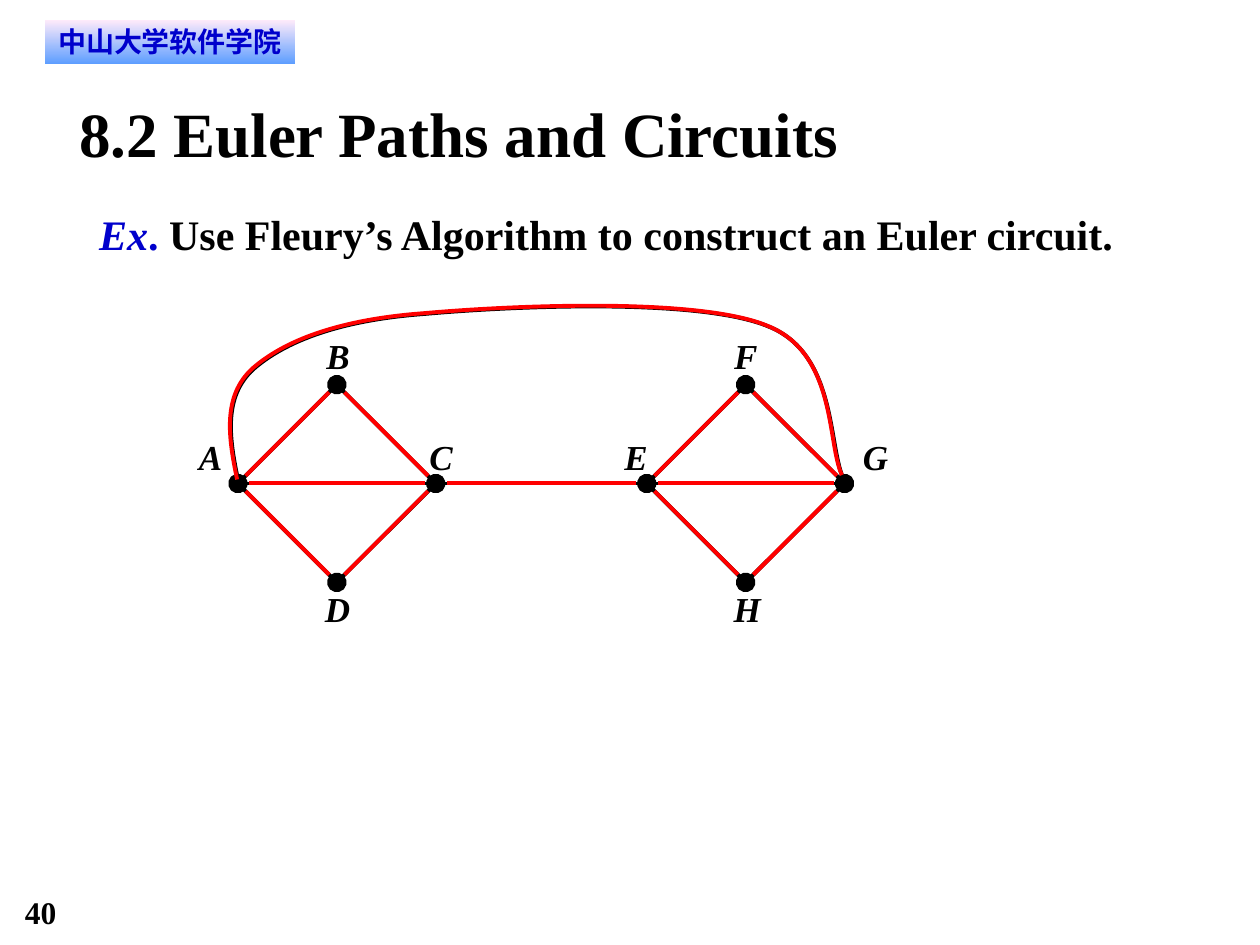
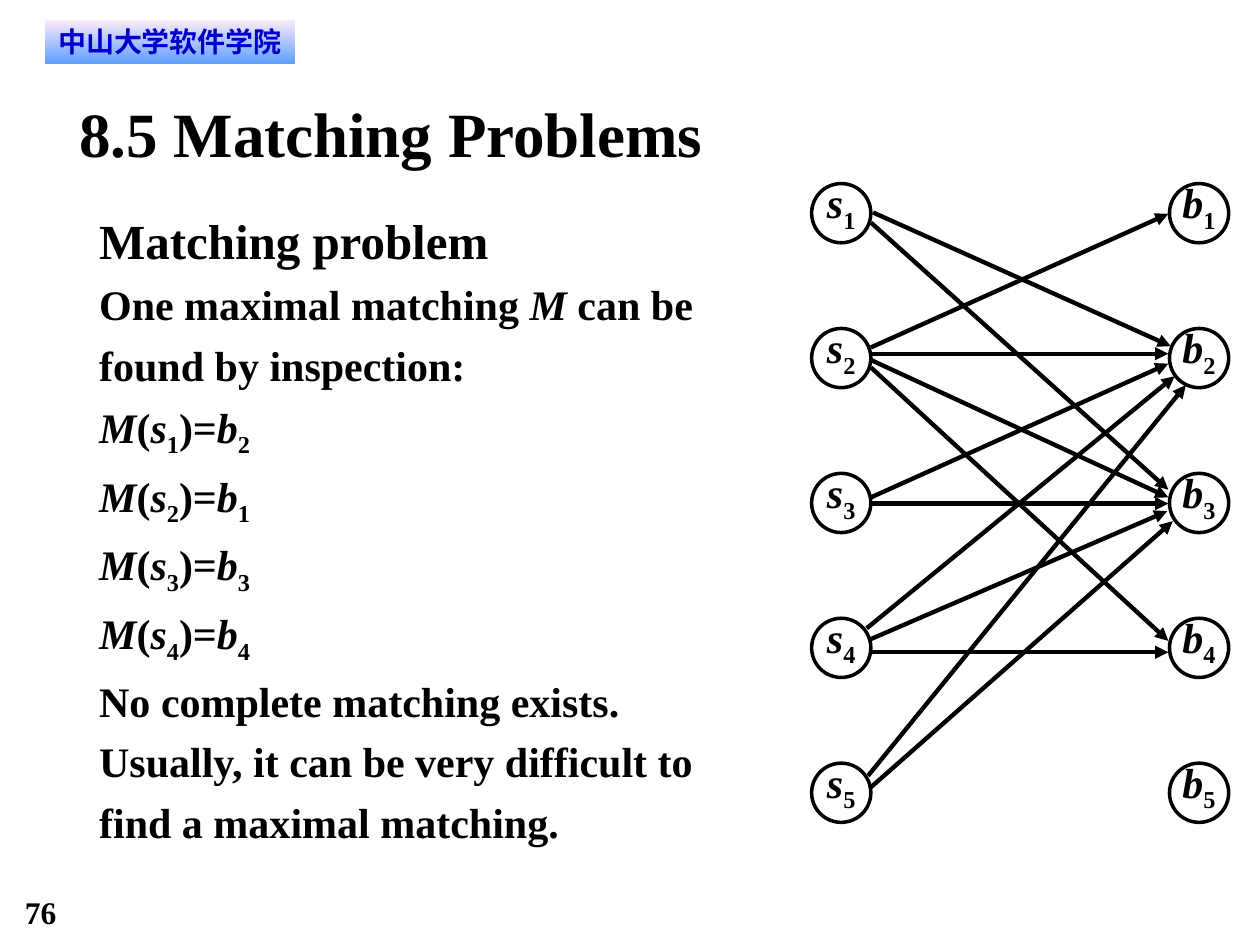
import math
import pptx
import pptx.dml.color
import pptx.enum.dml
import pptx.enum.shapes
import pptx.enum.text
import pptx.oxml.ns
import pptx.util
from lxml import etree

Pt = pptx.util.Pt
RGBColor = pptx.dml.color.RGBColor
ALIGN = pptx.enum.text.PP_ALIGN
ANCHOR = pptx.enum.text.MSO_ANCHOR
SHAPE = pptx.enum.shapes.MSO_SHAPE
qualified = pptx.oxml.ns.qn

BLACK = RGBColor(0x00, 0x00, 0x00)
RED = RGBColor(0xFF, 0x00, 0x00)
BLUE = RGBColor(0x00, 0x00, 0xCC)
BAND_TOP = RGBColor(0xFF, 0xEB, 0xFA)
BAND_BOTTOM = RGBColor(0x5E, 0x9E, 0xFF)
SERIF = "Times New Roman"
SANS = "DejaVu Sans"

TITLE_BOX = (45.2, 54, 630, 43.2)
BAND_BOX = (25.6, 11.3, 143, 25.2)
NUMBER_BOX = (14.2, 510.2, 54, 21.6)
EXERCISE_BOX = (56.7, 113.4, 619.2, 34.6)
MATCHING_TEXT_BOX = (56.7, 113.3, 383.8, 370)
EULER_BOX = (135.4, 170, 347, 163.2)
MATCHING_BOX = (463.8, 104.9, 238.3, 365)

EDGE_WIDTH = 2.25
RADIUS = 56.5
DIAMOND_INSET = 0.6
DIAMOND_STEP = 233.6
DIAMOND_MIDDLE = 106.3
TRIM = 6.2
LEVEL_RISE = 0.5
LABEL_SIZE = (14, 23.8)
DIAMONDS = [
    {"west": ("A", -22.4, -27.4), "north": ("B", -6, -28.8),
     "east": ("C", -3.6, -27.4), "south": ("D", -6.8, 3)},
    {"west": ("E", -12.8, -27.4), "north": ("F", -6.6, -28.8),
     "east": ("G", 10.5, -27.4), "south": ("H", -6.8, 3)},
]
DIAMOND_EDGES = [
    ("north", "east", "oval"), ("west", "south", "oval"),
    ("east", "south", None), ("north", "west", None), ("west", "east", None),
]
LOOP = [
    (0.7, 104.4),
    (-4.3, 80.6), (-7.9, 56.9), (9.4, 41),
    (27.4, 25.2), (58.3, 13), (107.3, 9.4),
    (156.2, 5), (264.2, 0), (303.8, 16.6),
    (343.4, 32.4), (337.7, 86.4), (347, 104.4),
]
RED_LOOP = LOOP[:-2] + [(337.7, 83.9), (346.3, 101.9)]

CIRCLE = 33.84
ROW_STEP = 82.8
COLUMN_STEP = 204.5
ROWS = 5
ARROWS = [
    (2, (17, -6.1), 1, (-17.6, 0.4)),
    (1, (18.2, -0.4), 2, (-16.2, -6.8)),
    (1, (17, 5.4), 3, (-17.6, -7.6)),
    (2, (17, -2.5), 2, (-17.6, -2.5)),
    (2, (17, 1.1), 3, (-17.6, -3.2)),
    (2, (17, 5.4), 4, (-17.6, -4)),
    (3, (17, -3.2), 2, (-17.6, 3.2)),
    (4, (14.6, -11.2), 2, (-14, 10.4)),
    (5, (15.3, -9.7), 2, (-7.6, 15.5)),
    (5, (16.2, -2.5), 3, (-15, 10.4)),
    (4, (16.2, -4.7), 3, (-18.2, 4.7)),
    (3, (17, 0.4), 3, (-17.6, 0.4)),
    (4, (17, 2.5), 4, (-17.6, 2.5)),
]


def variable(letter, index):
    return [(letter, {"italic": True}), (str(index), {"subscript": True})]


def write_text(shape, paragraphs, size=24, font=SERIF, color=BLACK, italic=False,
               align=ALIGN.LEFT, anchor=ANCHOR.TOP, line_spacing=None,
               wrap=True, margins=(0, 0)):
    frame = shape.text_frame
    frame.word_wrap = wrap
    frame.vertical_anchor = anchor
    frame.margin_left = frame.margin_right = Pt(margins[0])
    frame.margin_top = frame.margin_bottom = Pt(margins[1])
    for number, runs in enumerate(paragraphs):
        paragraph = frame.add_paragraph() if number else frame.paragraphs[0]
        paragraph.alignment = align
        if line_spacing:
            paragraph.line_spacing = line_spacing
        for text, style in runs:
            if text == "\n":
                paragraph.add_line_break()
                continue
            run = paragraph.add_run()
            run.text = text
            run.font.name = font
            run.font.bold = True
            run.font.size = Pt(style.get("size", size))
            run.font.italic = style.get("italic", italic)
            run.font.color.rgb = style.get("color", color)
            if style.get("subscript"):
                run._r.get_or_add_rPr().set("baseline", "-25000")


def add_text(shapes, box, paragraphs, **text_format):
    shape = shapes.add_textbox(*map(Pt, box))
    write_text(shape, paragraphs, **text_format)


def add_line(shapes, start, end, color=BLACK, width=EDGE_WIDTH,
             head=None, tail=None, end_size="med"):
    connector = shapes.add_connector(
        pptx.enum.shapes.MSO_CONNECTOR.STRAIGHT, *map(Pt, (*start, *end)))
    connector.line.color.rgb = color
    connector.line.width = Pt(width)
    line = connector.line._get_or_add_ln()
    for tag, kind in (("a:headEnd", head), ("a:tailEnd", tail)):
        if kind:
            etree.SubElement(line, qualified(tag), type=kind, w=end_size, len=end_size)
    etree.SubElement(connector._element.spPr, qualified("a:effectLst"))


def add_trimmed_line(shapes, start, end):
    length = math.dist(start, end)
    shift_x, shift_y = ((b - a) * TRIM / length for a, b in zip(start, end))
    rise = LEVEL_RISE if start[1] == end[1] else 0
    add_line(shapes, (start[0] + shift_x, start[1] + shift_y - rise),
             (end[0] - shift_x, end[1] - shift_y - rise), color=RED)


def add_band(shapes, box):
    band = shapes.add_shape(SHAPE.RECTANGLE, *map(Pt, box))
    band.shadow.inherit = False
    band.line.fill.background()
    band.fill.gradient()
    band.fill.gradient_angle = 270
    for stop, position, color in zip(band.fill.gradient_stops, (0, 1),
                                     (BAND_TOP, BAND_BOTTOM)):
        stop.position = position
        stop.color.rgb = color
    write_text(band, [[("中山大学软件学院", {})]], size=16, font=SANS, color=BLUE,
               align=ALIGN.CENTER, margins=(5.76, 2.88))


def add_slide(presentation, title, number):
    slide = presentation.slides.add_slide(presentation.slide_layouts[6])
    add_text(slide.shapes, NUMBER_BOX, [[(str(number), {})]], size=18)
    add_band(slide.shapes, BAND_BOX)
    add_text(slide.shapes, TITLE_BOX, [[(title, {})]], size=36)
    return slide


def add_loop(shapes, left, top, loop_points, color):
    points = [(Pt(left + x), Pt(top + y)) for x, y in loop_points]
    builder = shapes.build_freeform(*points[0])
    builder.add_line_segments(points[1:], close=False)
    loop = builder.convert_to_shape()
    segments = list(loop._element.iter(qualified("a:lnTo")))
    outline = segments[0].getparent()
    for first in range(0, len(segments), 3):
        curve = etree.SubElement(outline, qualified("a:cubicBezTo"))
        for segment in segments[first:first + 3]:
            curve.append(segment[0])
            outline.remove(segment)
    loop.shadow.inherit = False
    loop.fill.background()
    loop.line.color.rgb = color
    loop.line.width = Pt(EDGE_WIDTH)


def add_euler_graph(slide, box):
    left, top = box[:2]
    middle = top + DIAMOND_MIDDLE
    graph = slide.shapes.add_group_shape().shapes
    diamonds = []
    for number, labels in enumerate(DIAMONDS):
        west = left + DIAMOND_INSET + number * DIAMOND_STEP
        corners = {
            "west": (west, middle),
            "north": (west + RADIUS, middle - RADIUS),
            "east": (west + 2 * RADIUS, middle),
            "south": (west + RADIUS, middle + RADIUS),
        }
        diamonds.append(corners)
        for corner, (name, shift_x, shift_y) in labels.items():
            x, y = corners[corner]
            add_text(graph, (x + shift_x, y + shift_y, *LABEL_SIZE), [[(name, {})]],
                     size=20, italic=True, wrap=False)
        for start, end, dot in DIAMOND_EDGES:
            add_line(graph, corners[start], corners[end],
                     head=dot, tail=dot, end_size="lg")
    bridge = diamonds[0]["east"], diamonds[1]["west"]
    add_line(graph, *bridge)
    add_loop(graph, left, top, LOOP, BLACK)
    for corners in diamonds:
        for start, end, dot in DIAMOND_EDGES:
            add_trimmed_line(slide.shapes, corners[start], corners[end])
    add_loop(slide.shapes, left - 0.6, top - 0.4, RED_LOOP, RED)
    add_trimmed_line(slide.shapes, *bridge)


def add_matching_graph(slide, box):
    left, top = box[:2]
    centers = {}
    for column, letter in enumerate("sb"):
        for row in range(1, ROWS + 1):
            x, y = left + column * COLUMN_STEP, top + (row - 1) * ROW_STEP
            centers[letter, row] = (x + CIRCLE / 2, y + CIRCLE / 2)
            circle = slide.shapes.add_shape(SHAPE.OVAL, *map(Pt, (x, y, CIRCLE, CIRCLE)))
            circle.shadow.inherit = False
            circle.fill.background()
            circle.line.color.rgb = BLACK
            circle.line.width = Pt(2)
            write_text(circle, [variable(letter, row)], align=ALIGN.CENTER,
                       anchor=ANCHOR.BOTTOM, wrap=False)
    for source, start_shift, target, end_shift in ARROWS:
        start = [a + b for a, b in zip(centers["s", source], start_shift)]
        end = [a + b for a, b in zip(centers["b", target], end_shift)]
        add_line(slide.shapes, start, end, width=2.5, tail="triangle")


def build_euler_slide(presentation):
    slide = add_slide(presentation, "8.2 Euler Paths and Circuits", 40)
    add_text(slide.shapes, EXERCISE_BOX, [[
        ("Ex", {"italic": True, "color": BLUE}),
        (". ", {"color": BLUE}),
        ("Use Fleury’s Algorithm to construct an Euler circuit.", {}),
    ]], line_spacing=1.2)
    add_euler_graph(slide, EULER_BOX)


def build_matching_slide(presentation):
    slide = add_slide(presentation, "8.5 Matching Problems", 76)
    matches = [
        [("M", {"italic": True}), ("(", {}), *variable("s", source),
         (")=", {}), *variable("b", target)]
        for source, target in ((1, 2), (2, 1), (3, 3), (4, 4))
    ]
    add_text(slide.shapes, MATCHING_TEXT_BOX, [
        [("Matching problem", {"size": 28})],
        [("One maximal matching ", {}), ("M", {"italic": True}),
         (" can be found by inspection:", {})],
        *matches,
        [("No complete matching exists.", {})],
        [("Usually, it can be very difficult to", {}), ("\n", {}),
         ("find a maximal matching.", {})],
    ], line_spacing=1.2)
    add_matching_graph(slide, MATCHING_BOX)


def main():
    presentation = pptx.Presentation()
    presentation.slide_width = Pt(720)
    presentation.slide_height = Pt(540)
    build_euler_slide(presentation)
    build_matching_slide(presentation)
    presentation.save("out.pptx")


if __name__ == "__main__":
    main()
